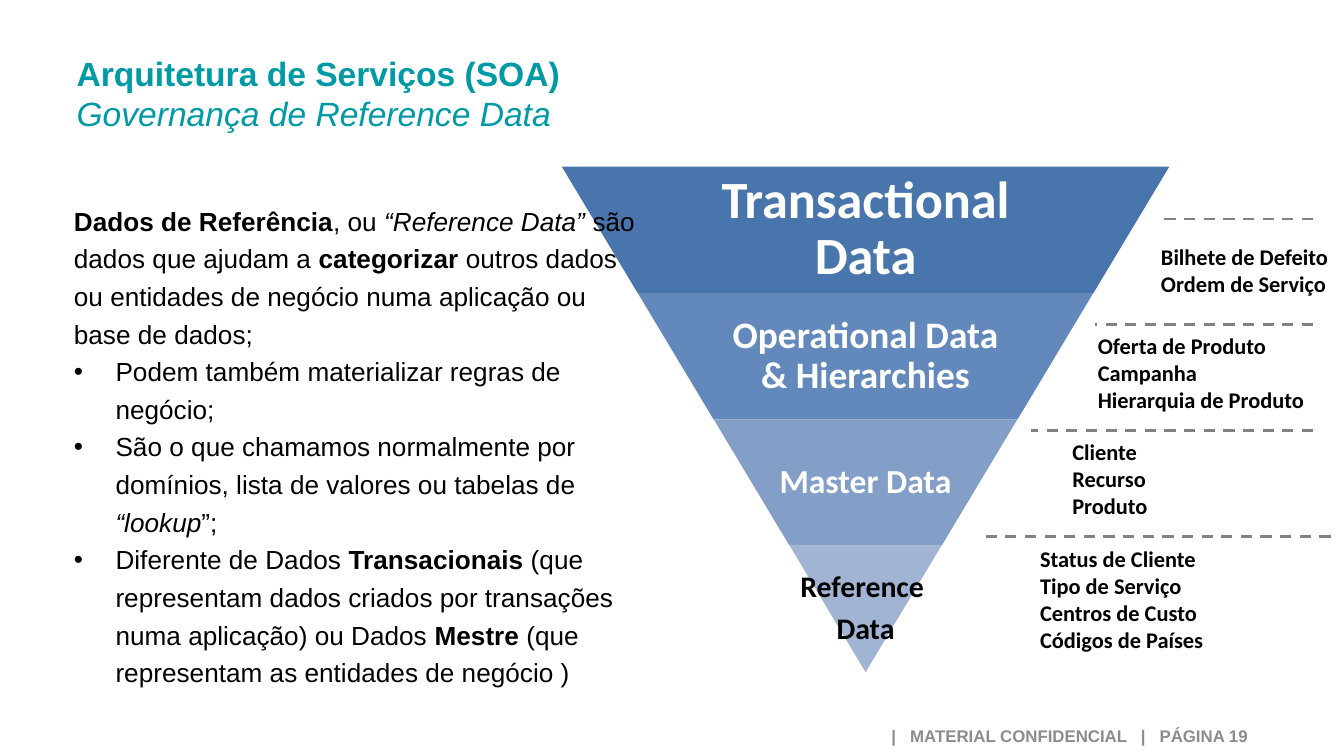
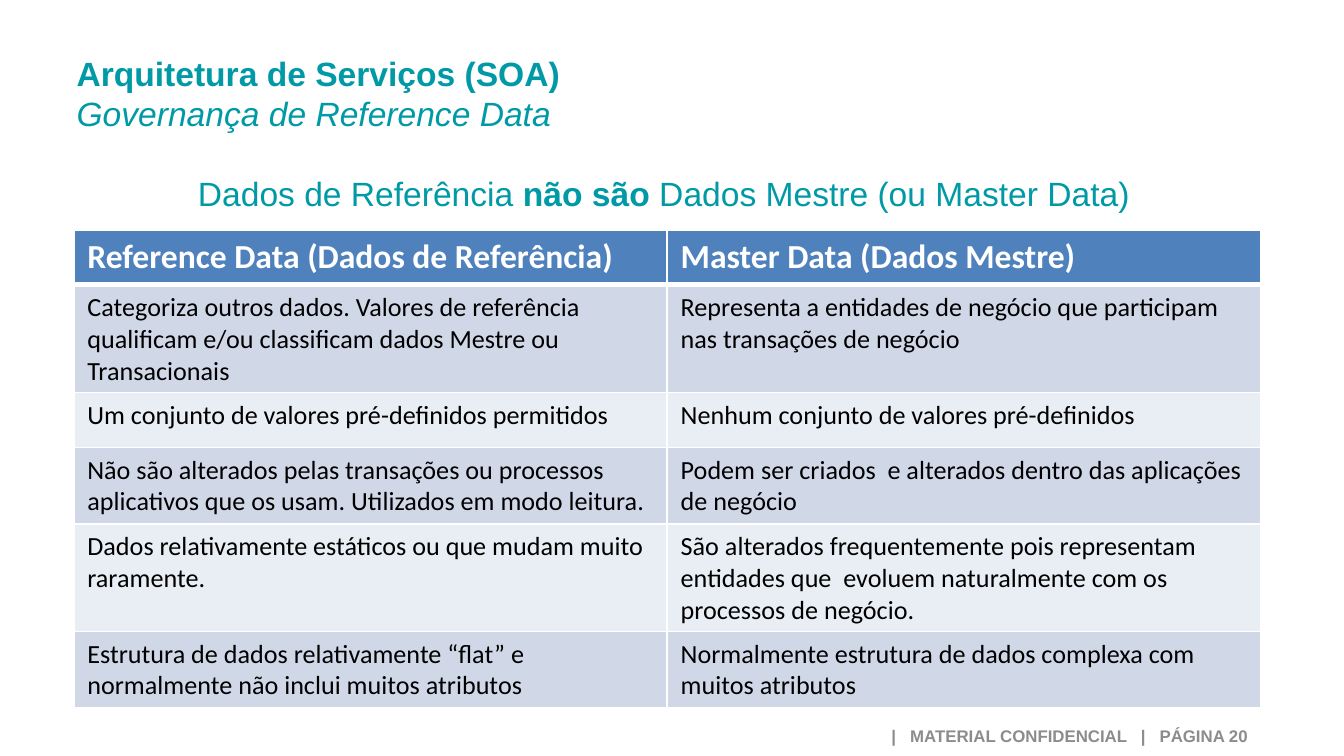
import pptx
import pptx.util
import pptx.dml.color
import pptx.enum.dml
import pptx.enum.shapes
import pptx.enum.text
import pptx.oxml.ns
from lxml import etree

Inches = pptx.util.Inches
Pt = pptx.util.Pt
Align = pptx.enum.text.PP_ALIGN
Anchor = pptx.enum.text.MSO_ANCHOR
Fit = pptx.enum.text.MSO_AUTO_SIZE

TEAL = "009AA6"
GREY = "8C8C8C"
DASH = "808285"
BLACK = "000000"
WHITE = "FFFFFF"
HEAD = "4F81BD"
BANDS = ("D0D8E8", "E9EDF4")

TIERS = [
    ("4875AC", WHITE, 28, 2.94, ["Transactional Data"]),
    ("6389BC", WHITE, 20, 2.21, ["Operational Data & Hierarchies"]),
    ("839EC7", WHITE, 18, 1.47, ["Master Data"]),
    ("A2B4D4", BLACK, 16, 1.13, ["Reference ", "Data"]),
]

NOTES = [
    (8.54, 1.76, 1.46, 0.5, ["Bilhete de Defeito", "Ordem de Serviço"]),
    (8.07, 2.42, 1.93, 0.71,
     ["Oferta de Produto", "Campanha", "Hierarquia de Produto"]),
    (7.88, 3.21, 1.69, 0.71, ["Cliente", "Recurso", "Produto"]),
    (7.64, 4.01, 1.69, 0.91,
     ["Status de Cliente", "Tipo de Serviço", "Centros de Custo",
      "Códigos de Países"]),
]

RULES = [(9.77, 8.61), (9.77, 8.15), (9.77, 7.67), (9.9, 7.29)]

INTRO = [
    ("Dados de Referência", "b"), (", ou ", ""), ("“Reference Data” ", "i"),
    ("são dados que ajudam a ", ""), ("categorizar", "b"),
    (" outros dados ou entidades de negócio numa aplicação ou base de dados;", ""),
]

POINTS = [
    [("Podem também materializar regras de negócio;", "")],
    [("São o que chamamos normalmente por domínios, lista de valores ou "
      "tabelas de ", ""), ("“lookup", "i"), ("”;", "")],
    [("Diferente de Dados ", ""), ("Transacionais", "b"),
     (" (que representam dados criados por transações numa aplicação) "
      "ou Dados ", ""), ("Mestre", "b"),
     (" (que representam as entidades de negócio )", "")],
]

ROWS = [
    ("Reference Data (Dados de Referência)", "Master Data (Dados Mestre)"),
    ("Categoriza outros dados. Valores de referência qualificam e/ou "
     "classificam dados Mestre ou Transacionais",
     "Representa a entidades de negócio que participam nas transações de negócio"),
    ("Um conjunto de valores pré-definidos permitidos",
     "Nenhum conjunto de valores pré-definidos"),
    ("Não são alterados pelas transações ou processos aplicativos que os usam. "
     "Utilizados em modo leitura.",
     "Podem ser criados  e alterados dentro das aplicações de negócio"),
    ("Dados relativamente estáticos ou que mudam muito raramente.",
     "São alterados frequentemente pois representam entidades que  evoluem "
     "naturalmente com os processos de negócio."),
    ("Estrutura de dados relativamente “flat” e normalmente não inclui muitos "
     "atributos",
     "Normalmente estrutura de dados complexa com muitos atributos"),
]


def color(code):
    return pptx.dml.color.RGBColor.from_string(code)


def node(parent, tag, **attrs):
    return etree.SubElement(parent, pptx.oxml.ns.qn(tag), attrs)


def place(shape, left, top, width, height):
    shape.left, shape.top = Inches(left), Inches(top)
    shape.width, shape.height = Inches(width), Inches(height)


def add_run(para, text, face, size, tint, style=""):
    run = para.add_run()
    run.text = text
    font = run.font
    font.name, font.size = face, Pt(size)
    font.color.rgb = color(tint)
    font.bold, font.italic = "b" in style, "i" in style


def next_para(frame, index):
    return frame.add_paragraph() if index else frame.paragraphs[0]


def add_box(slide, left, top, width, height, inset=None, anchor=Anchor.TOP):
    box = slide.shapes.add_textbox(
        Inches(left), Inches(top), Inches(width), Inches(height))
    frame = box.text_frame
    frame.word_wrap = True
    frame.vertical_anchor = anchor
    if inset is not None:
        frame.margin_left = frame.margin_right = Inches(inset)
        frame.margin_top = frame.margin_bottom = Inches(inset)
    return frame


def add_page(deck, layout, number):
    slide = deck.slides.add_slide(deck.slide_layouts[layout])
    title = slide.shapes.title
    place(title, 0.47, 0.34, 7.4, 0.71)
    frame = title.text_frame
    frame.auto_size = Fit.NONE
    frame.vertical_anchor = Anchor.TOP
    para = frame.paragraphs[0]
    para.alignment = Align.LEFT
    add_run(para, "Arquitetura de Serviços (SOA)", "Arial", 18, TEAL, "b")
    para.add_line_break()
    add_run(para, "Governança de Reference Data", "Arial", 18, TEAL, "i")
    para = add_box(slide, 5.16, 5.34, 4.22, 0.29,
                   anchor=Anchor.MIDDLE).paragraphs[0]
    para.alignment = Align.RIGHT
    para.line_spacing = 0.8
    add_run(para, f" |   MATERIAL CONFIDENCIAL   |   PÁGINA {number}",
            "Arial", 9, GREY, "b")
    return slide


def add_tier(slide, index, fill, tint, size, room, lines):
    step, high, mid = 1.13, 0.94, 6.44
    width = step * (len(TIERS) - index)
    top = 1.24 + high * index
    shape = slide.shapes.add_shape(
        pptx.enum.shapes.MSO_SHAPE.TRAPEZOID, Inches(mid - width / 2),
        Inches(top), Inches(width), Inches(high))
    shape.rotation = 180
    shape.adjustments[0] = 0.6
    shape.shadow.inherit = False
    shape.fill.solid()
    shape.fill.fore_color.rgb = color(fill)
    shape.line.fill.background()
    frame = add_box(slide, mid - room / 2, top, room, high, 0.03, Anchor.MIDDLE)
    for spot, line in enumerate(lines):
        para = next_para(frame, spot)
        para.alignment = Align.CENTER
        para.line_spacing = 0.9
        para.space_after = Pt(size * 0.35)
        add_run(para, line, "Calibri", size, tint, "b")


def add_rule(slide, start, end, top):
    rule = slide.shapes.add_connector(
        pptx.enum.shapes.MSO_CONNECTOR.STRAIGHT,
        Inches(start), Inches(top), Inches(end), Inches(top))
    rule.line.color.rgb = color(DASH)
    rule.line.width = Pt(1.5)
    rule.line.dash_style = pptx.enum.dml.MSO_LINE.DASH
    node(rule._element.spPr, "a:effectLst")


def add_note(slide, left, top, width, height, lines):
    frame = add_box(slide, left, top, width, height)
    for index, line in enumerate(lines):
        add_run(next_para(frame, index), line, "Calibri", 12, BLACK, "b")


def fill_body(slide):
    body = slide.placeholders[1]
    slide.shapes._spTree.append(body._element)
    place(body, 0.45, 1.43, 4.46, 3.78)
    frame = body.text_frame
    frame.auto_size = Fit.NONE
    for index, runs in enumerate([INTRO] + POINTS):
        para = next_para(frame, index)
        props = para._p.get_or_add_pPr()
        hang = Inches(0.31) if index else 0
        props.set("marL", str(hang))
        props.set("indent", str(-hang))
        if index:
            node(props, "a:buFont", typeface="Arial")
            node(props, "a:buChar", char="•")
        else:
            node(props, "a:buNone")
        para.line_spacing = 1.2
        para.space_before = Pt(0)
        for text, style in runs:
            add_run(para, text, "Arial", 14, BLACK, style)


def add_edge(cell, side, width):
    line = node(cell._tc.get_or_add_tcPr(), f"a:ln{side}", w=str(Pt(width)))
    node(node(line, "a:solidFill"), "a:srgbClr", val=WHITE)


def add_grid(slide):
    frame = slide.shapes.add_table(
        len(ROWS), 2, Inches(0.55), Inches(1.71), Inches(8.83), Inches(3.54))
    table = frame.table
    for row, texts in enumerate(ROWS):
        table.rows[row].height = Inches(0.41)
        for col, text in enumerate(texts):
            cell = table.cell(row, col)
            add_edge(cell, "L", 1)
            add_edge(cell, "R", 1)
            add_edge(cell, "T", 3 if row == 1 else 1)
            add_edge(cell, "B", 3 if row == 0 else 1)
            cell.fill.solid()
            cell.fill.fore_color.rgb = color(BANDS[(row - 1) % 2] if row else HEAD)
            para = cell.text_frame.paragraphs[0]
            if row:
                add_run(para, text, "Calibri", 14, BLACK)
            else:
                add_run(para, text, "Calibri", 18, WHITE, "b")
    frame.height = Inches(3.54)


def add_lead(slide):
    para = add_box(slide, 0.47, 1.24, 8.94, 0.4).paragraphs[0]
    para.alignment = Align.CENTER
    for text, style in [("Dados de Referência ", ""), ("não são", "b"),
                        (" Dados Mestre (ou Master Data)", "")]:
        add_run(para, text, "Arial", 18, TEAL, style)


def main():
    deck = pptx.Presentation()
    deck.slide_width = Inches(10)
    deck.slide_height = Inches(10 * 9 / 16)

    slide = add_page(deck, 1, 19)
    for index, tier in enumerate(TIERS):
        add_tier(slide, index, *tier)
    fill_body(slide)
    for index, (start, end) in enumerate(RULES):
        add_rule(slide, start, end, 1.63 + 2.36 / 3 * index)
    for note in NOTES:
        add_note(slide, *note)

    slide = add_page(deck, 5, 20)
    add_lead(slide)
    add_grid(slide)

    deck.save("out.pptx")


if __name__ == "__main__":
    main()
